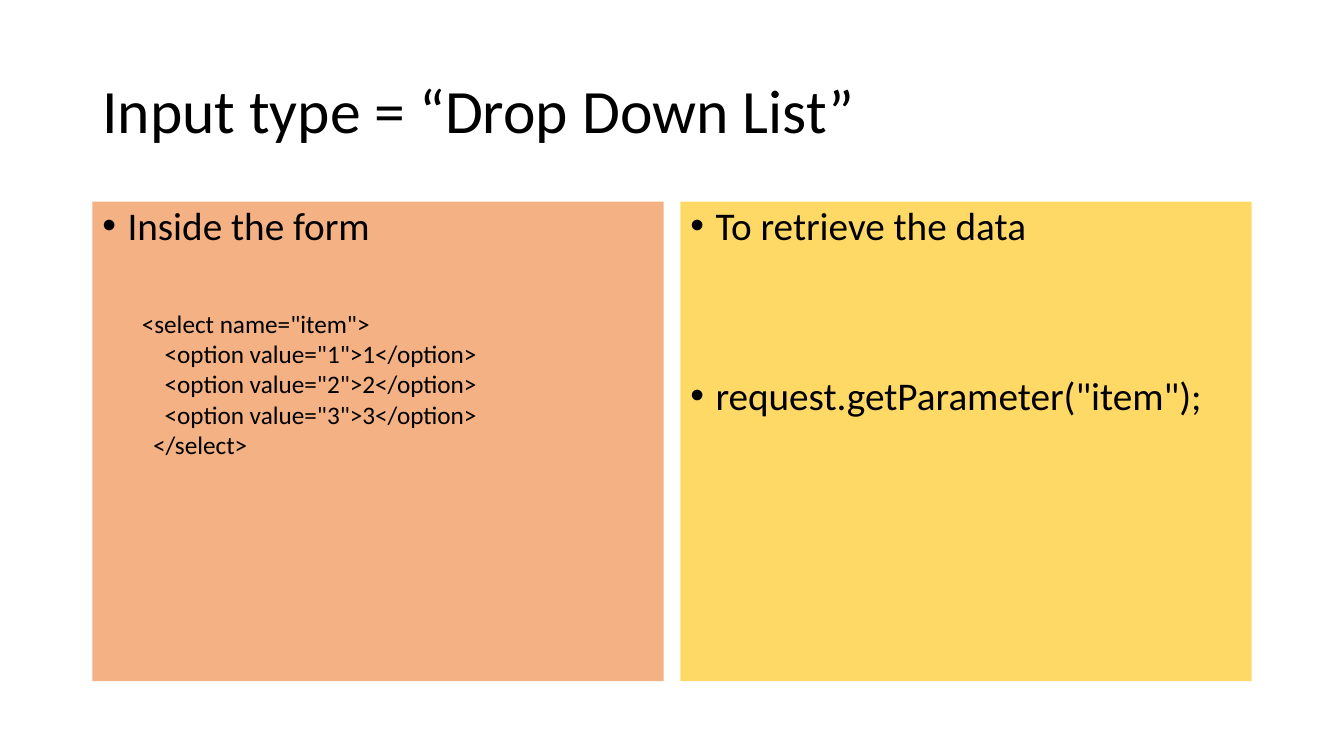
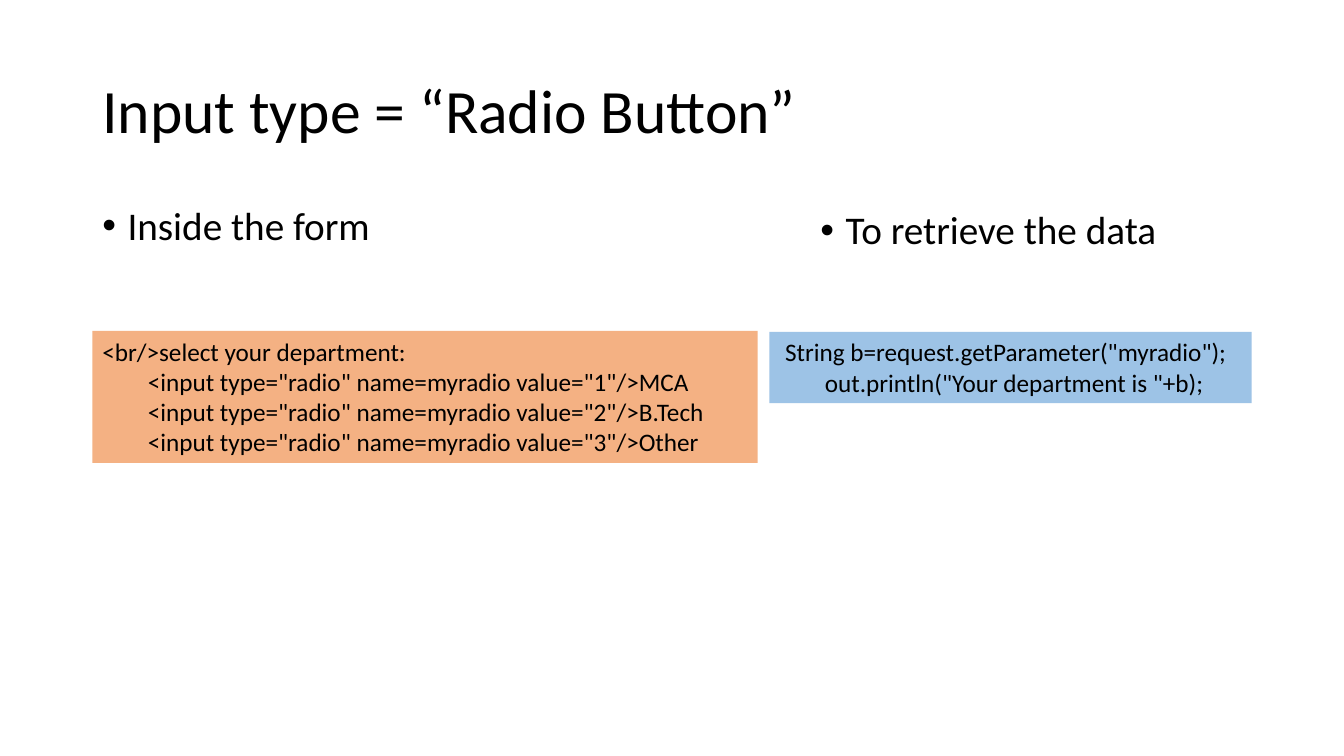
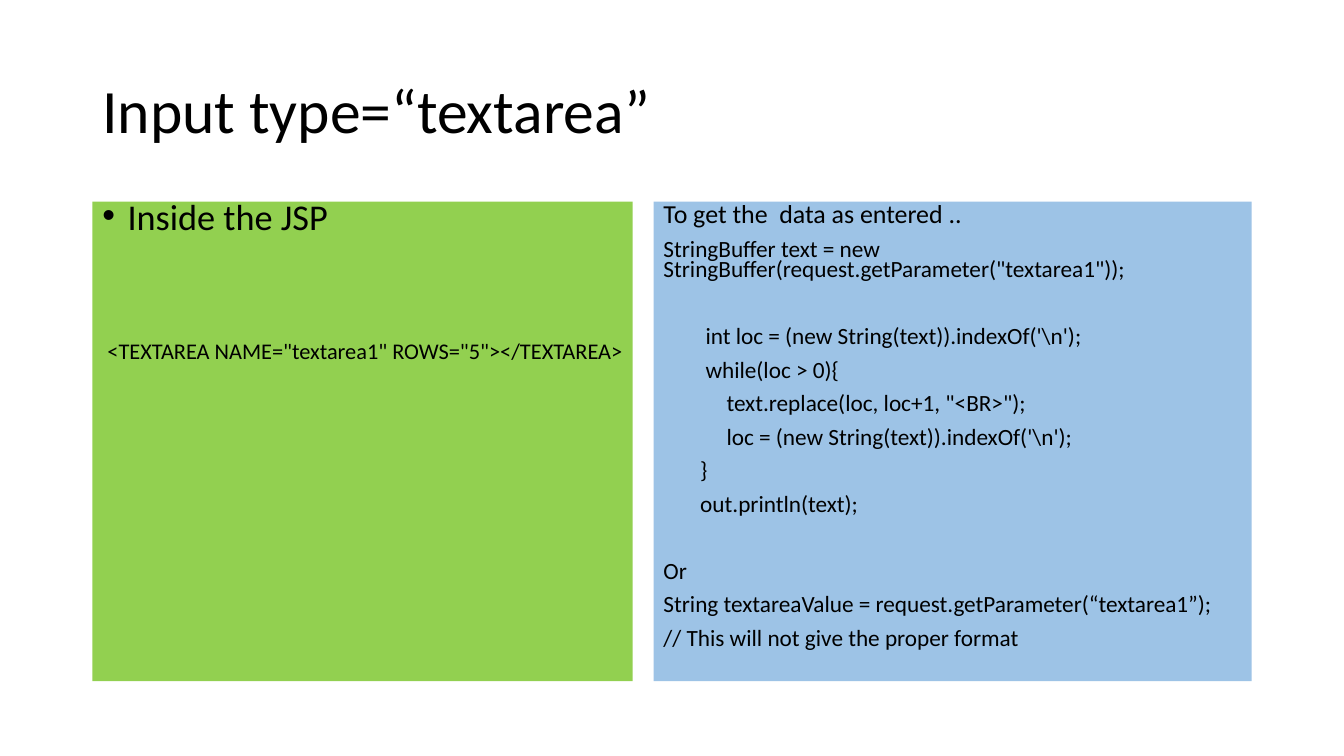
from lxml import etree
from pptx import Presentation
from pptx.dml.color import RGBColor
from pptx.enum.shapes import MSO_SHAPE
from pptx.enum.text import MSO_ANCHOR, PP_ALIGN
from pptx.oxml.ns import qn
from pptx.util import Inches, Pt

RECT = MSO_SHAPE.RECTANGLE
TOP, MIDDLE = MSO_ANCHOR.TOP, MSO_ANCHOR.MIDDLE
LEFT = PP_ALIGN.LEFT

COLORS = {"text": "000000", "orange": "F4B183", "yellow": "FFD966",
          "blue": "9DC3E6", "green": "92D050"}
FONT = "Calibri"
COLS, ROWS = 160, 90            # square grid cells
MARGIN, BODY_TOP, BODY_ROWS = 11, 24, 57.1
SPACE_EM = 0.226                # width of one space in the font
BULLET_INDENT = Inches(0.25)


def para(text, size=18, spacing=1.0, before=0, spaces=0, marked=False):
    """Describe a paragraph; spaces is its indent in character spaces."""
    return dict(text=text, size=size, spacing=spacing, before=before,
                spaces=spaces, marked=marked)


def bullet(text, **fmt):
    """Describe a bulleted body paragraph."""
    return para(text, **{"size": 28, "spacing": 0.9, "before": 10,
                         "marked": True, **fmt})


def code(*lines, **fmt):
    """Describe code lines given as (indent, text) pairs."""
    return [para(text, spaces=spaces, **fmt) for spaces, text in lines]


class Deck:
    """Holds the shared style and the current slide."""

    def __init__(self):
        """Start an empty widescreen presentation."""
        self.prs = Presentation()
        self.prs.slide_width, self.prs.slide_height = Inches(13.33), Inches(7.5)
        self.s = None

    def slide(self, title):
        """Add a blank slide with its title."""
        self.s = self.prs.slides.add_slide(self.prs.slide_layouts[6])
        self.box(MARGIN, 4.8, COLS - 2 * MARGIN, 17.4,
                 [para(title, size=44, spacing=0.9)], anchor=MIDDLE)

    def box(self, col, row, cols, rows, paras, fill=None, anchor=TOP, wrap=True):
        """Add a text box, or a filled rectangle, at a place on the grid."""
        x, y = self.prs.slide_width / COLS, self.prs.slide_height / ROWS
        at = [int(v) for v in (col * x, row * y, cols * x, rows * y)]
        if fill:
            sp = self.s.shapes.add_shape(RECT, *at)
            sp.shadow.inherit = False
            sp.fill.solid()
            sp.fill.fore_color.rgb = RGBColor.from_string(COLORS[fill])
            sp.line.fill.background()
        else:
            sp = self.s.shapes.add_textbox(*at)
        tf = sp.text_frame
        tf.word_wrap, tf.vertical_anchor = wrap, anchor
        for i, fmt in enumerate(paras):
            p = tf.add_paragraph() if i else tf.paragraphs[0]
            self.set_text(p, **fmt)

    def body(self, col, cols, paras, fill=None, row=BODY_TOP):
        """Add a full-height body column."""
        self.box(col, row, cols, BODY_ROWS, paras, fill)

    def set_text(self, p, text, size, spacing, before, spaces, marked):
        """Fill one paragraph with formatted text."""
        p.alignment, p.line_spacing, p.space_before = LEFT, spacing, Pt(before)
        r = p.add_run()
        r.text = text
        r.font.name, r.font.size = FONT, Pt(size)
        r.font.color.rgb = RGBColor.from_string(COLORS["text"])
        props = p._p.get_or_add_pPr()
        if marked:
            props.set("marL", str(BULLET_INDENT))
            props.set("indent", str(-BULLET_INDENT))
            etree.SubElement(props, qn("a:buFont")).set("typeface", "Arial")
            etree.SubElement(props, qn("a:buChar")).set("char", "•")
        elif spaces:
            props.set("marL", str(int(Pt(spaces * SPACE_EM * size))))


def drop_down(deck):
    """Build the drop-down list slide."""
    deck.slide("Input type = “Drop Down List”")
    deck.body(MARGIN, 68, [bullet("Inside the form")], "orange")
    deck.body(81, 68, [bullet("To retrieve the data"),
                       bullet('request.getParameter("item");', before=91)], "yellow")
    options = [(4, f'<option value="{n}">{n}</option>') for n in (1, 2, 3)]
    deck.box(15.7, 36.1, 80, 19.4,
             code((0, '<select name="item">'), *options, (2, "</select>")))


def radio_button(deck):
    """Build the radio button slide."""
    deck.slide("Input type = “Radio Button”")
    deck.body(MARGIN, 68, [bullet("Inside the form")])
    deck.body(96.5, 53.9, [bullet("To retrieve the data")], row=24.5)
    inputs = [(8, f'<input type="radio" name=myradio value="{n}"/>{name}')
              for n, name in enumerate(("MCA", "B.Tech", "Other"), 1)]
    deck.box(MARGIN, 39.4, 79.2, 15.7,
             code((0, "<br/>select your department:"), *inputs), "orange")
    deck.box(91.6, 39.5, 57.4, 8.5,
             code((1, 'String b=request.getParameter("myradio");'),
                  (8, 'out.println("Your department is "+b);')), "blue")


def textarea(deck):
    """Build the textarea slide."""
    deck.slide("Input type=“textarea”")
    deck.body(MARGIN, 64.3, [bullet("Inside the JSP", size=25.9, spacing=0.7)],
              "green")
    tight = dict(size=16.6, spacing=0.7, before=10)
    after_gap = {**tight, "before": 34}
    deck.body(77.8, 71.2, [
        para("To get the  data as entered ..", **{**tight, "size": 18.5}),
        para('StringBuffer text = new StringBuffer(request.getParameter("textarea1"));',
             **tight),
        para("int loc = (new String(text)).indexOf('\\n');", spaces=8, **after_gap),
        *code((8, "while(loc > 0){"),
              (12, 'text.replace(loc, loc+1, "<BR>");'),
              (12, "loc = (new String(text)).indexOf('\\n');"),
              (7, "}"),
              (7, "out.println(text);"), **tight),
        para("Or", **after_gap),
        *code((0, "String textareaValue = request.getParameter(“textarea1”);"),
              (0, "// This will not give the proper format"), **tight),
    ], "blue")
    deck.box(MARGIN, 39.5, 65.2, 4.4,
             code((1, '<TEXTAREA NAME="textarea1" ROWS="5"></TEXTAREA>'), size=16),
             wrap=False)


deck = Deck()
for build in (drop_down, radio_button, textarea):
    build(deck)
deck.prs.save("out.pptx")
